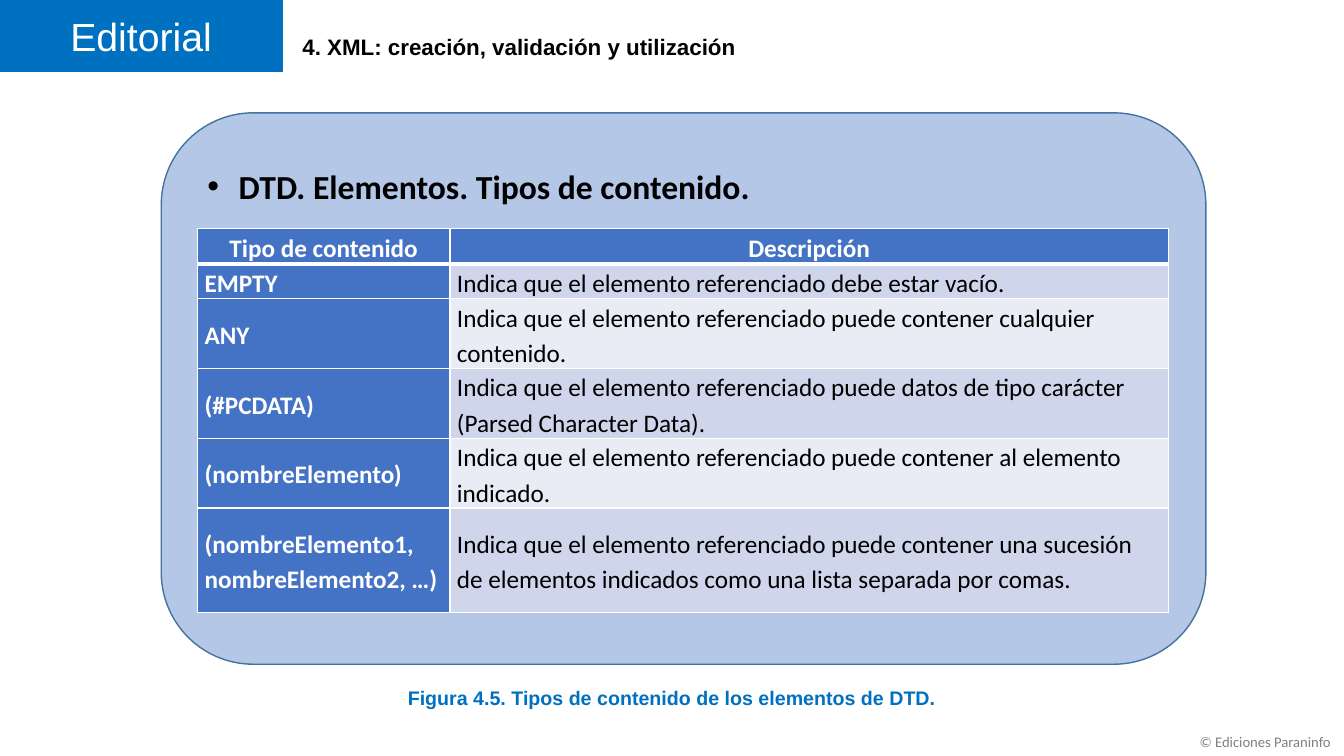
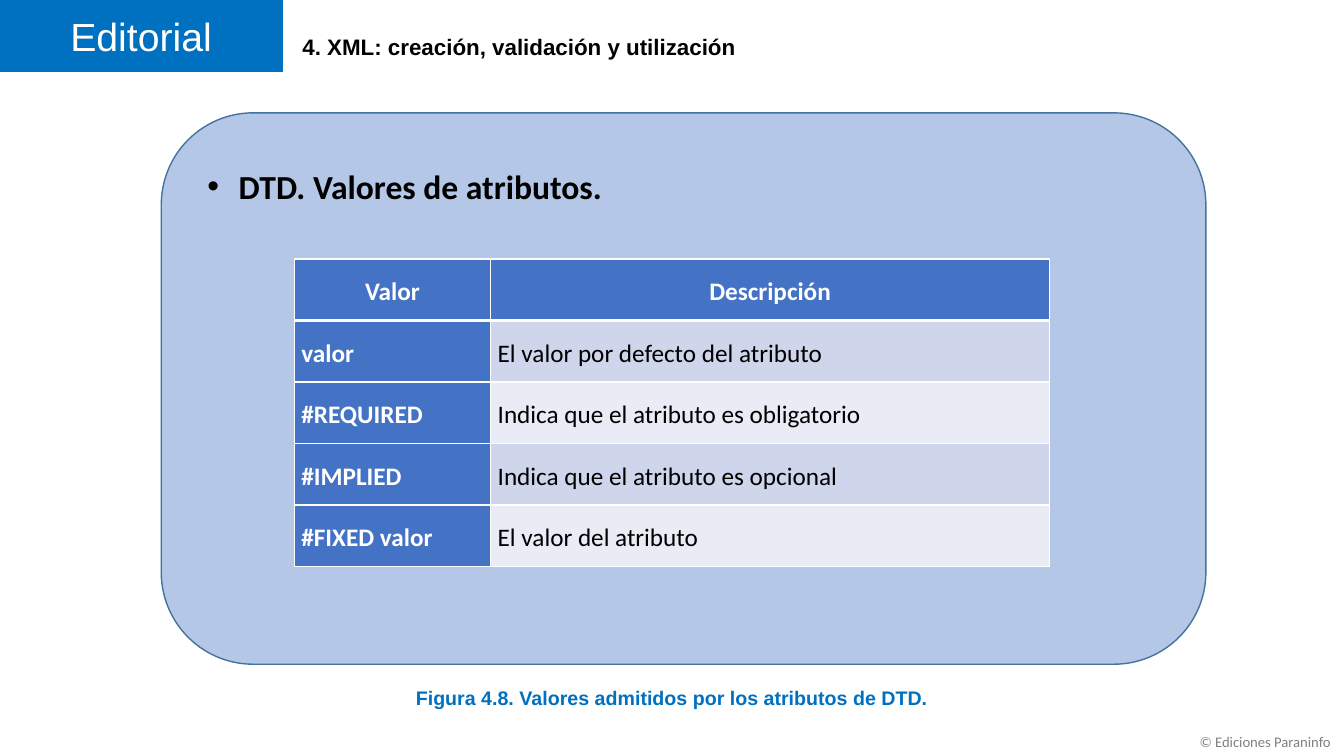
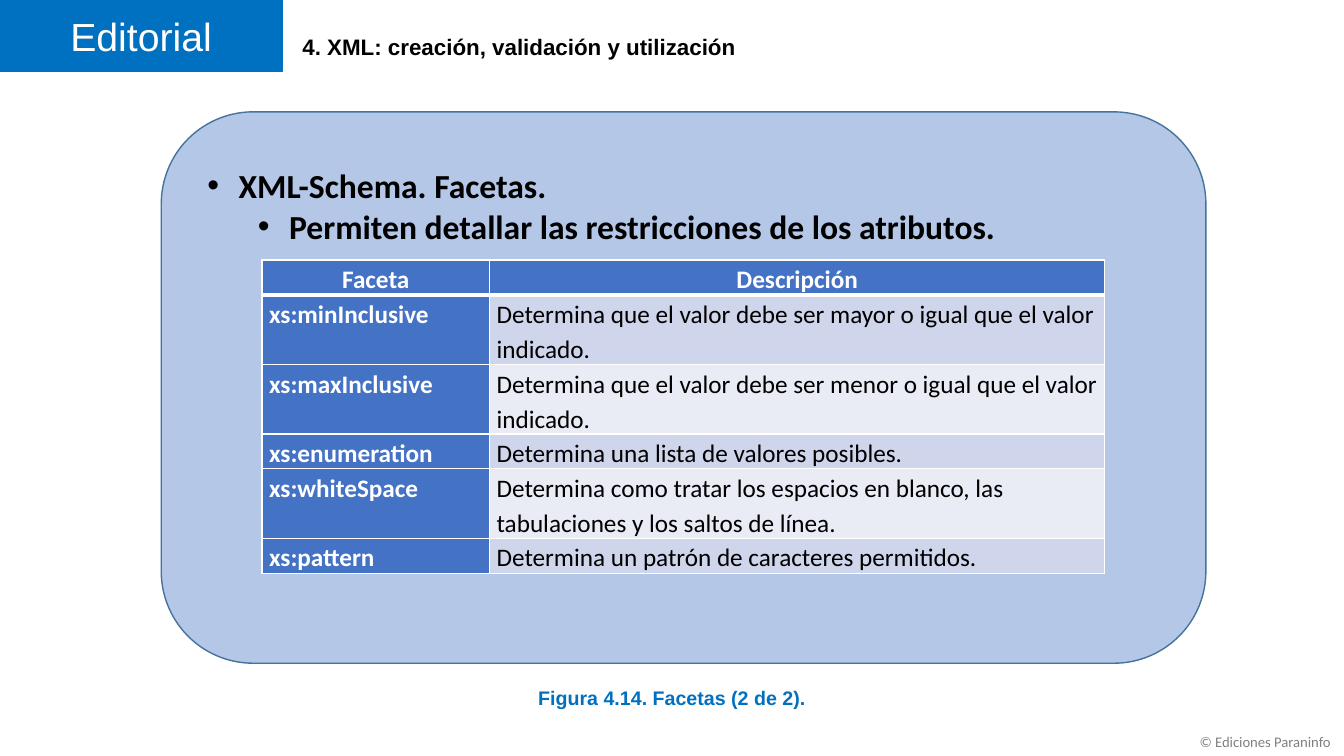
from dataclasses import dataclass

from lxml import etree
from pptx import Presentation
from pptx import util as u
from pptx.dml.color import RGBColor
from pptx.enum import shapes, text
from pptx.oxml import ns

COLORS = {
    "brand": "0070C0", "white": "FFFFFF", "ink": "000000", "footer": "808080",
    "panel": "B4C7E7", "panel_edge": "43739E", "key": "4472C4",
    "odd_row": "CFD5EA", "even_row": "E9EBF5",
}
CHAPTER = "4. XML: creación, validación y utilización"
SLIDE = (0, 0, u.Inches(13.33), u.Inches(7.5))
LEFT, CENTER = text.PP_ALIGN.LEFT, text.PP_ALIGN.CENTER
TOP, MIDDLE = text.MSO_ANCHOR.TOP, text.MSO_ANCHOR.MIDDLE


@dataclass
class Topic:
    """Content of one slide; table_at holds percentages of the panel."""
    points: list
    caption: str
    rows: list
    weights: list
    table_at: tuple
    key_share: float
    panel_top: float = 14.93
    anchor: int = MIDDLE


TOPICS = [
    Topic(
        ["DTD. Elementos. Tipos de contenido."],
        "Figura 4.5. Tipos de contenido de los elementos de DTD.",
        [("Tipo de contenido", "Descripción"),
         ("EMPTY", "Indica que el elemento referenciado debe estar vacío."),
         ("ANY", "Indica que el elemento referenciado puede contener cualquier contenido."),
         ("(#PCDATA)", "Indica que el elemento referenciado puede datos de tipo carácter "
                       "(Parsed Character Data)."),
         ("(nombreElemento)", "Indica que el elemento referenciado puede contener al "
                              "elemento indicado."),
         ("(nombreElemento1, nombreElemento2, …)",
          "Indica que el elemento referenciado puede contener una sucesión de elementos "
          "indicados como una lista separada por comas.")],
        [1, 1, 2, 2, 2, 3], (3.47, 21.02, 92.95, 69.65), 0.26),
    Topic(
        ["DTD. Valores de atributos."],
        "Figura 4.8. Valores admitidos por los atributos de DTD.",
        [("Valor", "Descripción"),
         ("valor", "El valor por defecto del atributo"),
         ("#REQUIRED", "Indica que el atributo es obligatorio"),
         ("#IMPLIED", "Indica que el atributo es opcional"),
         ("#FIXED valor", "El valor del atributo")],
        [1] * 5, (12.74, 26.51, 72.3, 55.76), 0.26),
    Topic(
        ["XML-Schema. Facetas.", "Permiten detallar las restricciones de los atributos."],
        "Figura 4.14. Facetas (2 de 2).",
        [("Faceta", "Descripción"),
         ("xs:minInclusive", "Determina que el valor debe ser mayor o igual que el valor indicado."),
         ("xs:maxInclusive", "Determina que el valor debe ser menor o igual que el valor indicado."),
         ("xs:enumeration", "Determina una lista de valores posibles."),
         ("xs:whiteSpace", "Determina como tratar los espacios en blanco, las tabulaciones "
                           "y los saltos de línea."),
         ("xs:pattern", "Determina un patrón de caracteres permitidos.")],
        [1, 2, 2, 1, 2, 1], (9.65, 26.87, 80.69, 56.8), 0.27, 14.8, TOP),
]


def rgb(name):
    """Look up a palette colour."""
    return RGBColor.from_string(COLORS[name])


def within(box, x, y, w, h):
    """Return the part of a box given in percentages of its size."""
    left, top, width, height = box
    return (int(left + width * x / 100), int(top + height * y / 100),
            int(width * w / 100), int(height * h / 100))


def style(paragraph, size, color, font="Arial", bold=False, align=LEFT):
    """Format a paragraph and its runs."""
    paragraph.alignment = align
    for run in paragraph.runs:
        run.font.size = u.Pt(size)
        run.font.name = font
        run.font.bold = bold
        run.font.color.rgb = rgb(color)


def add_panel(slide, preset, box, fill, edge):
    """Add a flat filled shape with a thin outline."""
    panel = slide.shapes.add_shape(preset, *box)
    panel.shadow.inherit = False
    panel.fill.solid()
    panel.fill.fore_color.rgb = rgb(fill)
    panel.line.color.rgb = rgb(edge)
    panel.line.width = u.Pt(1)
    return panel


def add_label(slide, box, words, wrap=True, **look):
    """Add a one-paragraph text box."""
    frame = slide.shapes.add_textbox(*box).text_frame
    frame.word_wrap = wrap
    frame.text = words
    style(frame.paragraphs[0], **look)


def add_header(slide, box):
    """Place the publisher band and the chapter title."""
    band = add_panel(slide, shapes.MSO_SHAPE.RECTANGLE, within(box, 0, 0, 21, 9.5),
                     "brand", "brand")
    band.text_frame.text = "Editorial"
    band.text_frame.vertical_anchor = MIDDLE
    style(band.text_frame.paragraphs[0], 28, "white", align=CENTER)

    title = slide.shapes.title
    title.left, title.top, title.width, title.height = within(box, 21, 2.93, 54, 6.53)
    frame = title.text_frame
    frame.text = CHAPTER
    frame.word_wrap = True
    frame.auto_size = text.MSO_AUTO_SIZE.NONE
    frame.vertical_anchor = MIDDLE
    frame.margin_left = u.Inches(0.2)
    style(frame.paragraphs[0], 16, "ink", bold=True)


def add_points(slide, box, points):
    """Write bulleted headings, each one level deeper than the last."""
    frame = slide.shapes.add_textbox(*box).text_frame
    frame.word_wrap = True
    for level, point in enumerate(points):
        paragraph = frame.paragraphs[0] if level == 0 else frame.add_paragraph()
        paragraph.text = point
        paragraph.level = level
        props = paragraph._p.get_or_add_pPr()
        props.set("marL", str(u.Inches(0.31 + 0.5 * level)))
        props.set("indent", str(u.Inches(-0.31)))
        etree.SubElement(props, ns.qn("a:buFont"), typeface="Arial")
        etree.SubElement(props, ns.qn("a:buChar"), char="•")
        style(paragraph, 24, "ink", "Calibri", True)


def add_borders(cell, bottom):
    """Draw white cell borders, with the given bottom width."""
    props = cell._tc.get_or_add_tcPr()
    for side, width in (("L", 1), ("R", 1), ("T", 1), ("B", bottom)):
        line = etree.SubElement(props, ns.qn(f"a:ln{side}"), w=str(u.Pt(width)))
        fill = etree.SubElement(line, ns.qn("a:solidFill"))
        etree.SubElement(fill, ns.qn("a:srgbClr"), val=COLORS["white"])


def fill_cell(cell, words, row, column, anchor):
    """Write and format one table cell according to its place."""
    is_key = row == 0 or column == 0
    add_borders(cell, 3 if row == 0 else 1)
    cell.fill.solid()
    cell.fill.fore_color.rgb = rgb("key" if is_key else "odd_row" if row % 2 else "even_row")
    cell.margin_left = cell.margin_right = u.Inches(0.07)
    cell.margin_top = cell.margin_bottom = 0
    cell.vertical_anchor = anchor
    cell.text_frame.text = words
    paragraph = cell.text_frame.paragraphs[0]
    paragraph.line_spacing = 1.15
    style(paragraph, 18, "white" if is_key else "ink", "Calibri", is_key,
          CENTER if row == 0 else LEFT)


def add_definitions(slide, box, topic):
    """Add the two-column table of terms and descriptions."""
    table = slide.shapes.add_table(len(topic.rows), 2, *box).table
    table.first_col = True
    width, height = box[2:]
    for column, share in zip(table.columns, (topic.key_share, 1 - topic.key_share)):
        column.width = int(width * share)
    for row, weight in zip(table.rows, topic.weights):
        row.height = int(height * weight / sum(topic.weights))
    for r, entry in enumerate(topic.rows):
        for c, words in enumerate(entry):
            fill_cell(table.cell(r, c), words, r, c, topic.anchor)


def add_content(slide, box, topic):
    """Place the rounded panel with its headings and table."""
    add_panel(slide, shapes.MSO_SHAPE.ROUNDED_RECTANGLE, box, "panel", "panel_edge")
    add_points(slide, within(box, 3.47, 8.78, 92.95, 9.14 * len(topic.points)), topic.points)
    add_definitions(slide, within(box, *topic.table_at), topic)


def add_topic_slide(deck, topic):
    """Build one complete slide."""
    slide = deck.slides.add_slide(deck.slide_layouts[5])
    add_header(slide, SLIDE)
    add_content(slide, within(SLIDE, 12, topic.panel_top, 77.72, 72.93), topic)
    add_label(slide, within(SLIDE, 7.95, 90.13, 84.1, 4.53), topic.caption,
              size=14, color="brand", bold=True, align=CENTER)
    add_label(slide, within(SLIDE, 88.52, 96.27, 11.48, 3.73), "© Ediciones Paraninfo",
              wrap=False, size=10.5, color="footer", font="Calibri")


def main():
    """Build and save the deck."""
    deck = Presentation()
    deck.slide_width, deck.slide_height = SLIDE[2:]
    for topic in TOPICS:
        add_topic_slide(deck, topic)
    deck.save("out.pptx")


if __name__ == "__main__":
    main()
